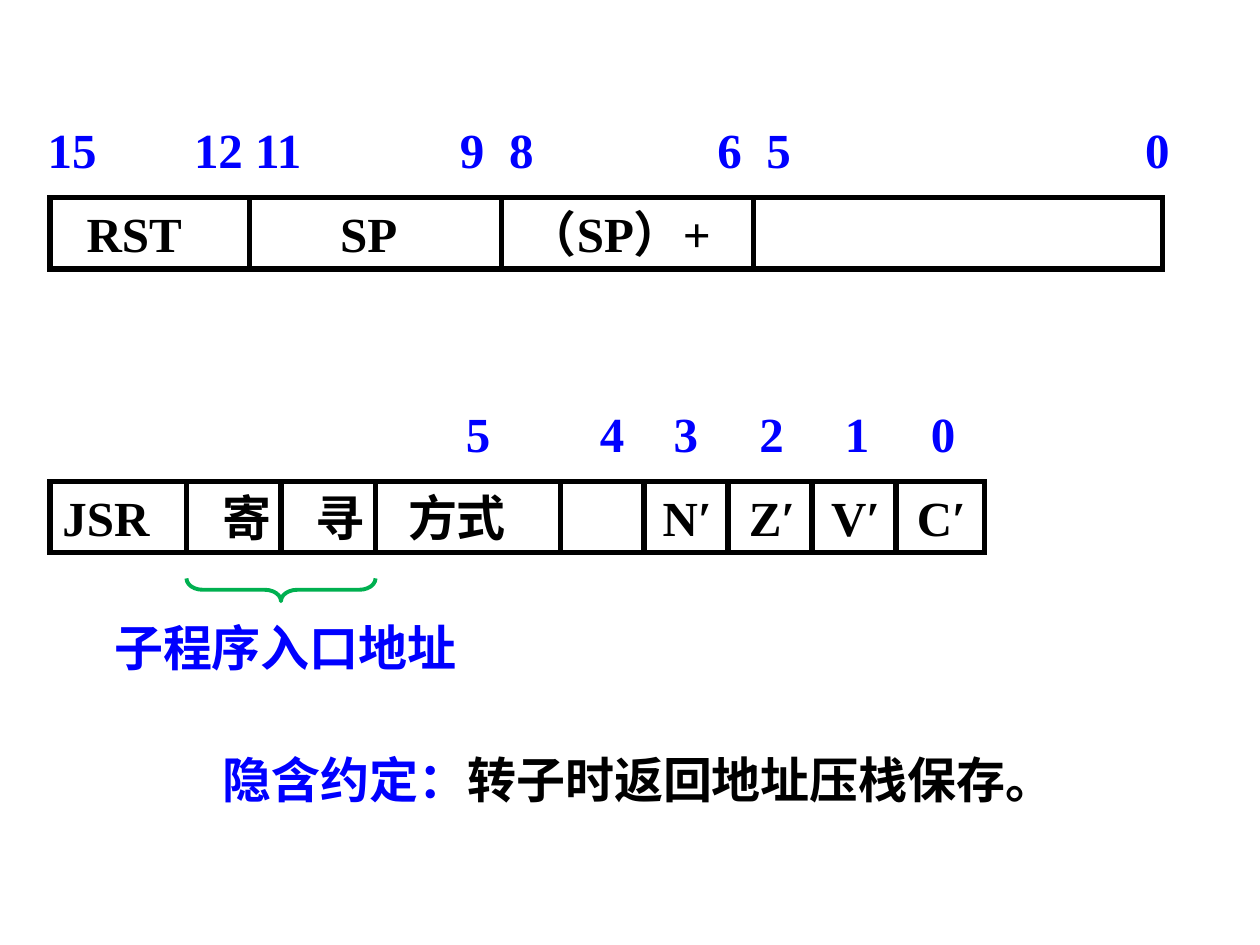
import pptx
import pptx.util
import pptx.dml.color
import pptx.enum.shapes
import pptx.enum.text
import lxml.etree

Pt = pptx.util.Pt
MSO_SHAPE = pptx.enum.shapes.MSO_SHAPE
PP_ALIGN = pptx.enum.text.PP_ALIGN

BLUE, BLACK, GREEN = "0000FF", "000000", "00B050"
FONT, SIZE = "Times New Roman", 28
ROW_HEIGHT, INSET = 41, 7.2
RULE_HEIGHT = 39.6

# Content: each label row holds (left edge of text, text)
BIT_ROWS = [
    {"box": (20.2, 64.8, 674.6),
     "labels": [(27.4, "15"), (111, "12 11"), (263, "9"), (291, "8"),
                (410, "6"), (438, "5"), (654.5, "0")]},
    {"box": (28.8, 226.8, 544.3),
     "labels": [(266.4, "5"), (343, "4"), (385, "3"), (434, "2"),
                (483, "1"), (532, "0")]},
]
REGISTERS = [
    {"box": (28.6, 112.8, 635.8),
     "labels": [(49.6, "RST"), (194.5, "SP"), (301.8, "（SP）+")],
     "dividers": [142.6, 286.6, 430.6]},
    {"box": (28.6, 275, 534.2),
     "labels": [(36, "JSR"), (127, "寄"), (180.3, "寻"), (233.3, "方式"),
                (378.8, "N′"), (428, "Z′"), (475, "V′"), (524, "C′")],
     "dividers": [106.6, 160.6, 214.6, 320.4, 368, 416, 464, 512]},
]
ENTRY_LABEL = [("子程序入口地址", BLUE)]
CONVENTION = [("隐含约定：", BLUE), ("转子时返回地址压栈保存。", BLACK)]


def rgb(color):
    return pptx.dml.color.RGBColor.from_string(color)


def style_line(shape, color, width):
    shape.line.color.rgb = rgb(color)
    shape.line.width = Pt(width)


def style_font(font, color):
    font.name, font.size, font.bold = FONT, Pt(SIZE), True
    font.color.rgb = rgb(color)


def add_tab_stops(paragraph, positions):
    tab_list = lxml.etree.SubElement(
        paragraph._p.get_or_add_pPr(), pptx.oxml.ns.qn("a:tabLst"))
    for position in positions:
        lxml.etree.SubElement(tab_list, pptx.oxml.ns.qn("a:tab"),
                              pos=str(int(Pt(position))), algn="l")


def write_labels(shape, labels, left, color):
    """Place the labels on one line, each at its own tab stop."""
    shape.text_frame.word_wrap = True
    paragraph = shape.text_frame.paragraphs[0]
    paragraph.alignment = PP_ALIGN.LEFT
    start = left + INSET
    stops = [x - start for x, _ in labels if x - start > 1]
    text = "\t".join(label for _, label in labels)
    if len(stops) == len(labels):
        text = "\t" + text
    add_tab_stops(paragraph, stops)
    paragraph.add_run().text = text
    style_font(paragraph.font, color)


def add_text(slide, left, top, width, runs, alignment):
    shape = slide.shapes.add_textbox(Pt(left), Pt(top), Pt(width), Pt(ROW_HEIGHT))
    shape.text_frame.word_wrap = True
    paragraph = shape.text_frame.paragraphs[0]
    paragraph.alignment = alignment
    for text, color in runs:
        run = paragraph.add_run()
        run.text = text
        style_font(run.font, color)


def add_register(slide, register):
    left, top, width = register["box"]
    frame = slide.shapes.add_shape(
        MSO_SHAPE.RECTANGLE, Pt(left), Pt(top), Pt(width), Pt(ROW_HEIGHT))
    frame.shadow.inherit = False
    frame.fill.background()
    style_line(frame, BLACK, 3)
    # Square corners
    lxml.etree.SubElement(frame.line._get_or_add_ln(),
                          pptx.oxml.ns.qn("a:miter"), lim="800000")
    write_labels(frame, register["labels"], left, BLACK)
    for x in register["dividers"]:
        divider = slide.shapes.add_connector(
            pptx.enum.shapes.MSO_CONNECTOR.STRAIGHT,
            Pt(x), Pt(top), Pt(x), Pt(top + RULE_HEIGHT))
        style_line(divider, BLACK, 3)
        lxml.etree.SubElement(divider._element.spPr,
                              pptx.oxml.ns.qn("a:effectLst"))


def main():
    presentation = pptx.Presentation()
    presentation.slide_width, presentation.slide_height = Pt(720), Pt(540)
    slide = presentation.slides.add_slide(presentation.slide_layouts[6])

    # Instruction words and their bit numbers
    for register in REGISTERS:
        add_register(slide, register)
    for row in BIT_ROWS:
        left, top, width = row["box"]
        shape = slide.shapes.add_textbox(Pt(left), Pt(top), Pt(width), Pt(ROW_HEIGHT))
        write_labels(shape, row["labels"], left, BLUE)

    # Brace under the address fields, turned to point down
    brace = slide.shapes.add_shape(
        MSO_SHAPE.LEFT_BRACE, Pt(154.1), Pt(283), Pt(13), Pt(108))
    brace.rotation = 270
    brace.adjustments[0] = 0.71
    brace.shadow.inherit = False
    brace.fill.background()
    style_line(brace, GREEN, 2.25)

    # Captions
    add_text(slide, 42.5, 349.2, 241.2, ENTRY_LABEL, PP_ALIGN.CENTER)
    add_text(slide, 120.2, 424.8, 496, CONVENTION, PP_ALIGN.LEFT)

    presentation.save("out.pptx")


if __name__ == "__main__":
    main()
